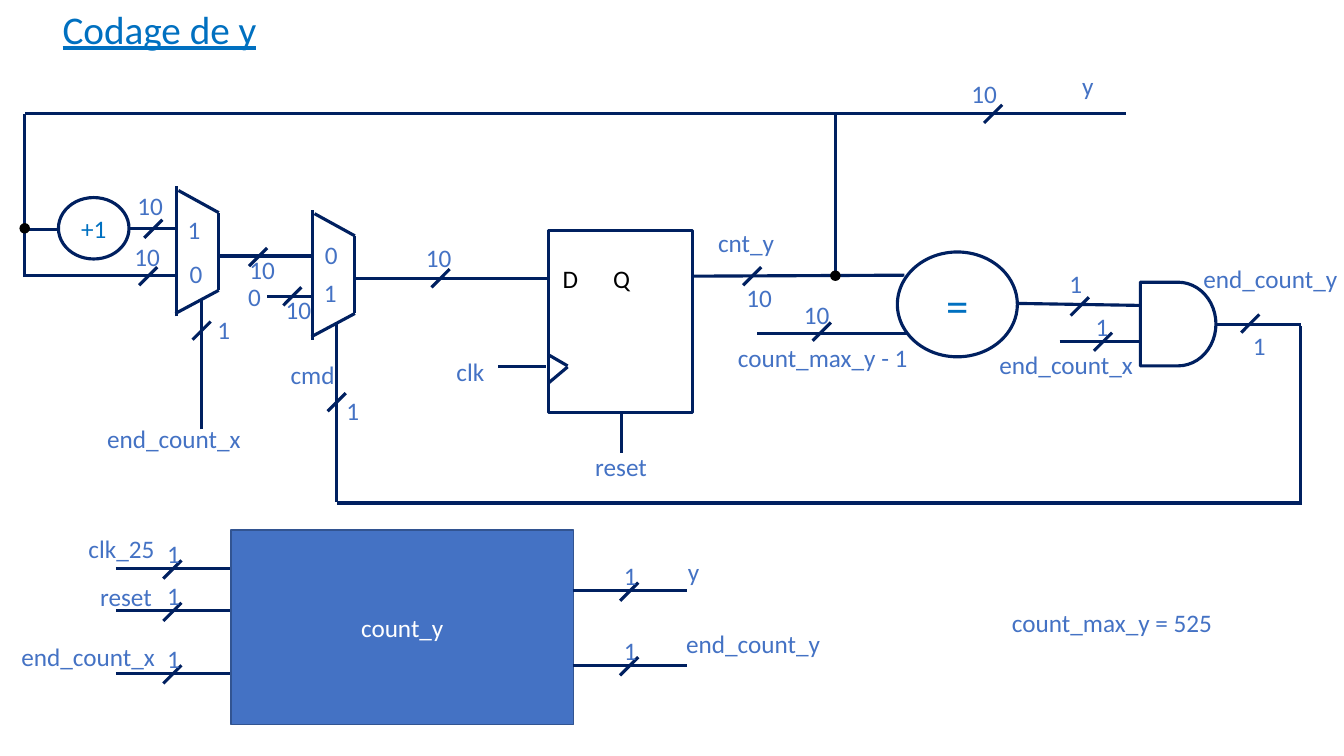
"""Build the slide showing the y counter circuit and its block symbol."""
from lxml import etree
from pptx import Presentation
from pptx.dml.color import RGBColor
from pptx.enum.shapes import MSO_CONNECTOR, MSO_SHAPE
from pptx.enum.text import MSO_ANCHOR, MSO_AUTO_SIZE, PP_ALIGN
from pptx.oxml.ns import qn
from pptx.util import Inches, Pt

STRAIGHT = MSO_CONNECTOR.STRAIGHT
RECTANGLE, OVAL, AND_GATE = MSO_SHAPE.RECTANGLE, MSO_SHAPE.OVAL, MSO_SHAPE.FLOWCHART_DELAY
TOP, MIDDLE = MSO_ANCHOR.TOP, MSO_ANCHOR.MIDDLE
LEFT, CENTER = PP_ALIGN.LEFT, PP_ALIGN.CENTER
NO_AUTOFIT = MSO_AUTO_SIZE.NONE
TITLE_ONLY = 5
FONT = "Calibri"
COLORS = {
    "wire": "002060", "label": "4472C4", "title": "0070C0", "edge": "325491",
    "white": "FFFFFF", "black": "000000",
}
TICK = 0.18
LABEL_HEIGHT = 0.4
WIDTH_LABEL = 0.48

WIRES = [
    (5.44, 3.52, 5.63, 3.63), (5.63, 3.64, 5.44, 3.8),
    (6.87, 2.74, 8.97, 2.73), (0.25, 1.13, 11.17, 1.13),
    (3.51, 2.76, 5.44, 2.76), (6.16, 4.49, 6.16, 4.09),
    (4.94, 3.64, 5.42, 3.64), (1.29, 2.27, 1.76, 2.27),
    (0.24, 2.75, 0.24, 1.13), (2.17, 2.54, 3.1, 2.54),
    (2.65, 2.94, 3.1, 2.94), (0.24, 2.73, 1.76, 2.73),
    (3.34, 4.98, 3.34, 3.21), (2, 4.26, 2, 2.98),
    (8.29, 2.76, 8.29, 1.14), (0.24, 2.28, 0.58, 2.28),
    (12.9, 4.99, 12.9, 3.23), (3.34, 4.99, 12.91, 4.99),
    (7.51, 3.31, 9.01, 3.31), (10.08, 3.01, 11.31, 3.03),
    (10.51, 3.39, 11.31, 3.39), (12.05, 3.22, 12.9, 3.22),
]
BUS_WIDTHS = [
    ("10", 2.47, 2.64, 2.36, 2.47), ("10", 7.37, 2.83, 7.29, 2.75),
    ("10", 4.28, 2.85, 4.11, 2.36), ("1", 1.91, 3.37, 1.98, 3.07),
    ("1", 3.25, 4.08, 3.26, 3.87), ("10", 2.81, 3.03, 2.72, 2.87),
    ("10", 1.38, 2.83, 1.22, 2.34), ("10", 1.43, 2.36, 1.25, 1.84),
    ("1", 10.62, 3.13, 10.43, 2.61), ("1", 10.85, 3.48, 10.69, 3.04),
    ("1", 12.31, 3.3, 12.25, 3.23), ("10", 8.06, 3.38, 7.86, 2.92),
    ("10", 9.76, 1.22, 9.52, 0.73),
]
LABELS = [
    ("reset", 5.17, 4.43, 1.98), ("clk", 4.25, 3.49, 0.83),
    ("end_count_y", 11.29, 2.56, 2.62), ("0", 1.53, 2.51, 0.83),
    ("1", 1.51, 2.08, 0.83), ("0", 2.87, 2.33, 0.83),
    ("1", 2.86, 2.7, 0.83), ("0", 2.11, 2.74, 0.83),
    ("y", 10.43, 0.65, 0.72), ("count_max_y - 1", 6.89, 3.35, 2.54),
    ("end_count_x", 0.57, 4.15, 2.31), ("end_count_x", 9.42, 3.42, 2.31),
    ("count_max_y = 525", 9.76, 5.98, 2.54), ("cnt_y", 6.98, 2.21, 0.84),
    ("cmd", 2.55, 3.52, 1.1), ("clk_25", 0.73, 5.24, 0.95),
    ("reset", 0.83, 5.72, 0.84), ("end_count_x", 0.05, 6.31, 1.65),
    ("y", 6.46, 5.47, 0.84), ("end_count_y", 6.16, 6.18, 2.62),
]
PORTS = [(1.15, 5.64), (1.15, 6.06), (1.15, 6.68), (5.68, 5.86), (5.68, 6.6)]


def color(name):
    """Return the named colour."""
    return RGBColor.from_string(COLORS[name])


def style_text(frame, text, size, ink, align=CENTER):
    """Write one paragraph and format its font."""
    frame.text = text
    paragraph = frame.paragraphs[0]
    paragraph.alignment = align
    for run in paragraph.runs:
        run.font.name = FONT
        run.font.size = Pt(size)
        run.font.color.rgb = color(ink)


def add_title(slide, text):
    """Place the underlined title."""
    title = slide.shapes.title
    title.left, title.top = Inches(0.52), Inches(0)
    title.width, title.height = Inches(2.14), Inches(0.57)
    frame = title.text_frame
    style_text(frame, text, 28, "title", LEFT)
    frame.auto_size = NO_AUTOFIT
    frame.word_wrap = False
    frame.vertical_anchor = TOP
    frame.paragraphs[0].runs[0].font.underline = True


def add_wire(slide, x1, y1, x2, y2):
    """Draw a straight wire."""
    wire = slide.shapes.add_connector(
        STRAIGHT, Inches(x1), Inches(y1), Inches(x2), Inches(y2))
    wire.line.color.rgb = color("wire")
    wire.line.width = Pt(2.25)
    etree.SubElement(wire._element.spPr, qn("a:effectLst"))


def add_label(slide, text, left, top, width):
    """Write a centred signal label."""
    label = slide.shapes.add_textbox(
        Inches(left), Inches(top), Inches(width), Inches(LABEL_HEIGHT))
    label.text_frame.word_wrap = True
    style_text(label.text_frame, text, 18, "label")


def add_bus_width(slide, text, x, y, label_left, label_top):
    """Draw the slash across a wire and write its number of bits."""
    add_wire(slide, x, y, x + TICK, y - TICK)
    add_label(slide, text, label_left, label_top, WIDTH_LABEL)


def add_block(slide, kind, box, text="", size=18, ink="title",
              fill="white", edge="wire", weight=2.25):
    """Draw a filled circuit element with an optional caption."""
    block = slide.shapes.add_shape(kind, *(Inches(length) for length in box))
    block.shadow.inherit = False
    block.fill.solid()
    block.fill.fore_color.rgb = color(fill)
    block.line.color.rgb = color(edge)
    block.line.width = Pt(weight)
    if text:
        block.text_frame.vertical_anchor = MIDDLE
        style_text(block.text_frame, text, size, ink)
    return block


def add_register(slide):
    """Draw the flip-flop with its D and Q pins set apart by a tab stop."""
    register = add_block(slide, RECTANGLE, (5.44, 2.29, 1.43, 1.8))
    frame = register.text_frame
    frame.vertical_anchor = TOP
    frame.margin_left, frame.margin_top = Inches(0.14), Inches(0.32)
    properties = frame.paragraphs[0]._p.get_or_add_pPr()
    stops = etree.SubElement(properties, qn("a:tabLst"))
    etree.SubElement(stops, qn("a:tab"), pos=str(Inches(0.95)), algn="l")
    style_text(frame, "D\tQ", 18, "black", LEFT)


def add_multiplexer(slide, left, top):
    """Draw the four sides of a multiplexer."""
    right = left + 0.42
    add_wire(slide, left, top + 1.29, left, top)
    add_wire(slide, right, top + 1.03, right, top + 0.26)
    add_wire(slide, right, top + 0.26, left + 0.02, top + 0.04)
    add_wire(slide, right, top + 1.03, left - 0.01, top + 1.26)


def add_port(slide, left, y):
    """Draw a one-bit port of the block symbol."""
    add_wire(slide, left, y, left + 1.13, y)
    add_bus_width(slide, "1", left + 0.47, y + 0.1, left + 0.33, y - 0.35)


def main():
    """Build and save the slide."""
    presentation = Presentation()
    presentation.slide_width, presentation.slide_height = Inches(13.33), Inches(7.5)
    slide = presentation.slides.add_slide(presentation.slide_layouts[TITLE_ONLY])
    add_title(slide, "Codage de y")
    add_register(slide)
    for wire in WIRES:
        add_wire(slide, *wire)
    for corner in ((1.75, 1.85), (3.1, 2.08)):
        add_multiplexer(slide, *corner)
    add_block(slide, OVAL, (0.58, 1.96, 0.7, 0.61), "+1")
    add_block(slide, OVAL, (8.9, 2.5, 1.19, 1.04), "=", size=32)
    add_block(slide, AND_GATE, (11.31, 2.8, 0.75, 0.83))
    for left, top in ((0.2, 2.22), (8.24, 2.69)):
        add_block(slide, OVAL, (left, top, 0.09, 0.09),
                  fill="black", edge="black", weight=1)
    add_block(slide, RECTANGLE, (2.29, 5.26, 3.4, 1.93), "count_y",
              ink="white", fill="label", edge="edge", weight=1)
    for bus_width in BUS_WIDTHS:
        add_bus_width(slide, *bus_width)
    for port in PORTS:
        add_port(slide, *port)
    for label in LABELS:
        add_label(slide, *label)
    presentation.save("out.pptx")


if __name__ == "__main__":
    main()
